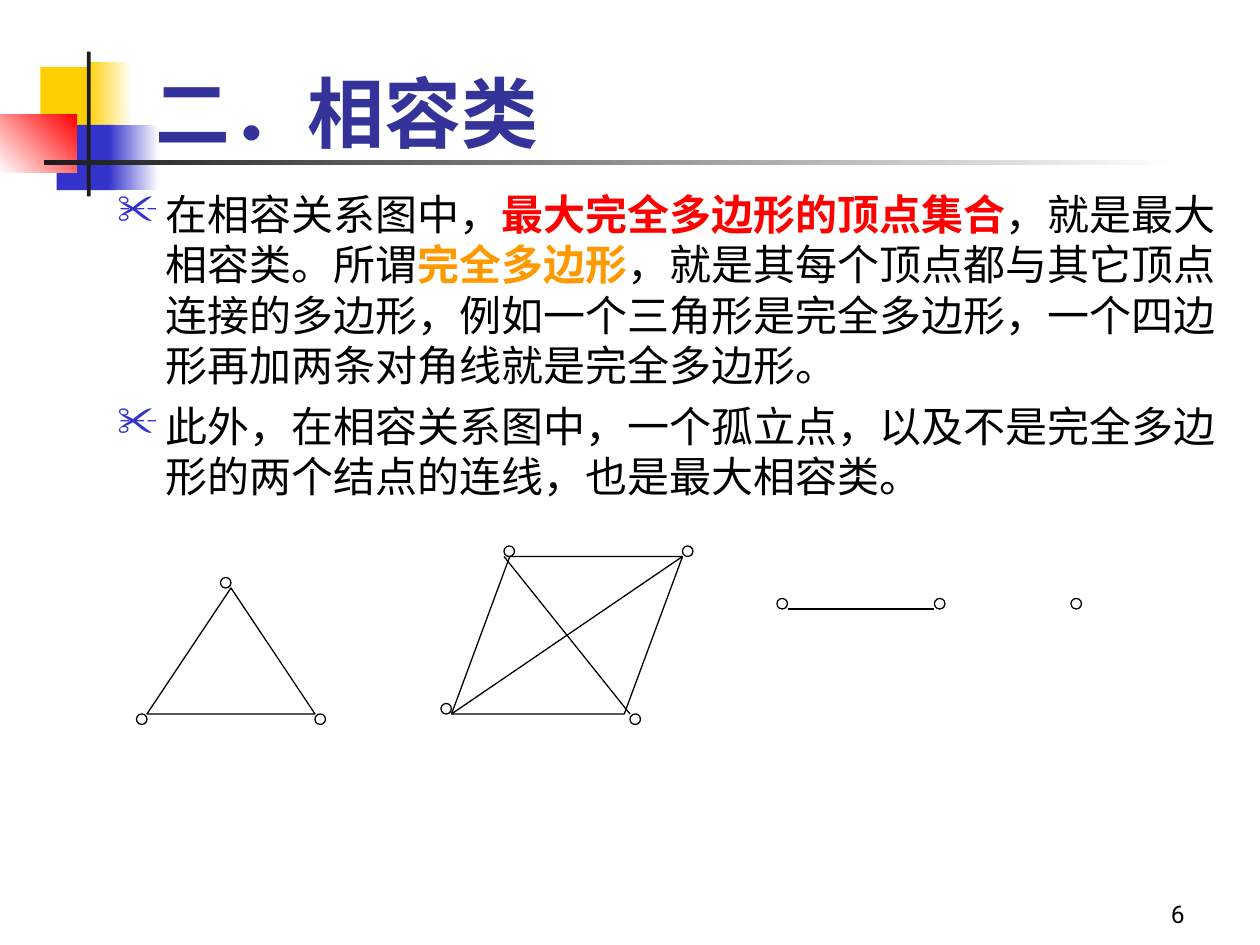
import pptx
import pptx.dml.color
import pptx.enum.shapes
import pptx.enum.text
import pptx.oxml.ns
import pptx.util
from lxml import etree

CELL = pptx.util.Inches(1) / 12
SHAPES = pptx.enum.shapes.MSO_SHAPE
ALIGN = pptx.enum.text.PP_ALIGN
ANCHOR = pptx.enum.text.MSO_ANCHOR
BLACK, WHITE, RED = "000000", "FFFFFF", "FF0000"
YELLOW, BLUE, DARK, ORANGE = "FFCF01", "3333CC", "1C1C1C", "FF9900"
CJK_FONT, BODY_FONT = "Noto Sans CJK SC", "Times New Roman"


def grid(*cells):
    """Turn columns and rows of a 120 by 90 grid into lengths."""
    return [round(cell * CELL) for cell in cells]


def color(code):
    """Return the colour of a hex string."""
    return pptx.dml.color.RGBColor.from_string(code)


def sub(parent, tag, **attributes):
    """Append a drawing element to its parent."""
    return etree.SubElement(parent, pptx.oxml.ns.qn(tag), attributes)


def write(paragraph, text, size=24, font=BODY_FONT, ink=BLACK, bold=False):
    """Add a formatted run to a paragraph."""
    run = paragraph.add_run()
    run.text = text
    run.font.size = pptx.util.Pt(size)
    run.font.name = font
    run.font.bold = bold
    run.font.color.rgb = color(ink)
    sub(run.font._element, "a:ea", typeface=CJK_FONT)


def add_band(slide, area, start, end=None, angle=0):
    """Add a borderless rectangle, plain or fading between two colours."""
    band = slide.shapes.add_shape(SHAPES.RECTANGLE, *grid(*area))
    band.shadow.inherit = False
    band.line.fill.background()
    if end is None:
        band.fill.solid()
        band.fill.fore_color.rgb = color(start)
        return
    band.fill.gradient()
    band.fill.gradient_angle = angle
    for stop, code, position in zip(band.fill.gradient_stops, (start, end), (0, 1)):
        stop.color.rgb = color(code)
        stop.position = position


def add_outline(parent, kind, area, adjustment=None):
    """Add an unfilled shape with a thin black line."""
    outline = parent.shapes.add_shape(kind, *grid(*area))
    outline.shadow.inherit = False
    outline.fill.background()
    outline.line.color.rgb = color(BLACK)
    outline.line.width = pptx.util.Pt(0.75)
    if adjustment is not None:
        outline.adjustments[0] = adjustment


def add_vertices(parent, *corners):
    """Add a one-cell circle at each corner."""
    for corner in corners:
        add_outline(parent, SHAPES.OVAL, (*corner, 1, 1))


def add_edge(parent, *ends):
    """Add a straight edge between two grid points."""
    edge = parent.shapes.add_connector(
        pptx.enum.shapes.MSO_CONNECTOR.STRAIGHT, *grid(*ends))
    edge.line.color.rgb = color(BLACK)
    edge.line.width = pptx.util.Pt(0.75)
    sub(edge._element.spPr, "a:effectLst")


def add_box(slide, area, anchor=ANCHOR.TOP):
    """Add a wrapping text box and return its text frame."""
    frame = slide.shapes.add_textbox(*grid(*area)).text_frame
    frame.word_wrap = True
    frame.vertical_anchor = anchor
    return frame


def add_bullet(paragraph):
    """Give a paragraph a hanging scissors bullet."""
    paragraph.line_spacing = pptx.util.Pt(28.75)
    properties = paragraph._p.get_or_add_pPr()
    indent = pptx.util.Inches(0.38)
    properties.set("marL", str(indent))
    properties.set("indent", str(-indent))
    sub(sub(properties, "a:buClr"), "a:srgbClr", val=BLUE)
    sub(properties, "a:buChar", char="✂")


def add_decoration(slide):
    """Draw the coloured blocks and rules around the title."""
    add_band(slide, (3.84, 6.36, 5.76, 6.24), YELLOW)
    add_band(slide, (8.28, 5.88, 4.32, 6.24), YELLOW, WHITE)
    add_band(slide, (5.4, 11.88, 5.52, 6.24), BLUE)
    add_band(slide, (10.32, 11.88, 4.8, 6.24), BLUE, WHITE)
    add_band(slide, (0, 10.92, 7.32, 5.52), WHITE, RED, angle=45)
    add_band(slide, (8.28, 4.92, 0.36, 13.8), DARK)
    add_band(slide, (4.2, 15.24, 108, 0.48), DARK, WHITE)


def add_title(slide, text):
    """Place and fill the title."""
    title = slide.shapes.title
    title.left, title.top, title.width, title.height = grid(13.44, 0, 102.24, 15)
    frame = title.text_frame
    frame.vertical_anchor = ANCHOR.BOTTOM
    frame.margin_bottom = 0
    heading = frame.paragraphs[0]
    heading.alignment = ALIGN.LEFT
    write(heading, text, size=44, font=CJK_FONT, ink="333399", bold=True)


def add_body(slide):
    """Write the two bulleted paragraphs."""
    frame = add_box(slide, (10, 17, 108, 64))
    frame.margin_top = pptx.util.Inches(0.08)
    definition = frame.paragraphs[0]
    add_bullet(definition)
    write(definition, "在相容关系图中，")
    write(definition, "最大完全多边形的顶点集合", ink=RED, bold=True)
    write(definition, "，就是最大相容类。所谓")
    write(definition, "完全多边形", ink=ORANGE, bold=True)
    write(definition, "，就是其每个顶点都与其它顶点连接的多边形，例如一个三角形是"
                      "完全多边形，一个四边形再加两条对角线就是完全多边形。")
    addition = frame.add_paragraph()
    addition.space_before = pptx.util.Pt(6)
    add_bullet(addition)
    write(addition, "此外，在相容关系图中，一个孤立点，以及不是完全多边形的"
                    "两个结点的连线，也是最大相容类。")


def add_graphs(slide):
    """Draw the segment, lone point, triangle and complete quadrilateral."""
    segment = slide.shapes.add_group_shape()
    add_edge(segment, 75, 58, 89, 58)
    add_vertices(segment, (74, 57), (89, 57))

    add_vertices(slide, (102, 57))

    triangle = slide.shapes.add_group_shape()
    add_outline(triangle, SHAPES.ISOSCELES_TRIANGLE, (14, 56, 16, 12))
    add_vertices(triangle, (21, 55), (13, 68), (30, 68))

    quadrilateral = slide.shapes.add_group_shape()
    add_outline(quadrilateral, SHAPES.PARALLELOGRAM, (43, 53, 22, 15), 0.37)
    add_edge(quadrilateral, 65, 53, 43, 68)
    add_edge(quadrilateral, 48, 53, 60, 68)
    add_vertices(quadrilateral, (48, 52), (60, 68), (42, 67), (65, 52))


def main():
    """Build and save the slide."""
    deck = pptx.Presentation()
    deck.slide_width, deck.slide_height = grid(120, 90)
    slide = deck.slides.add_slide(deck.slide_layouts[5])
    add_decoration(slide)
    page = add_box(slide, (89, 83, 25, 6), ANCHOR.BOTTOM).paragraphs[0]
    page.alignment = ALIGN.RIGHT
    write(page, "6", size=14, font="Roboto")
    add_title(slide, "二．相容类")
    add_body(slide)
    add_graphs(slide)
    deck.save("out.pptx")


if __name__ == "__main__":
    main()
